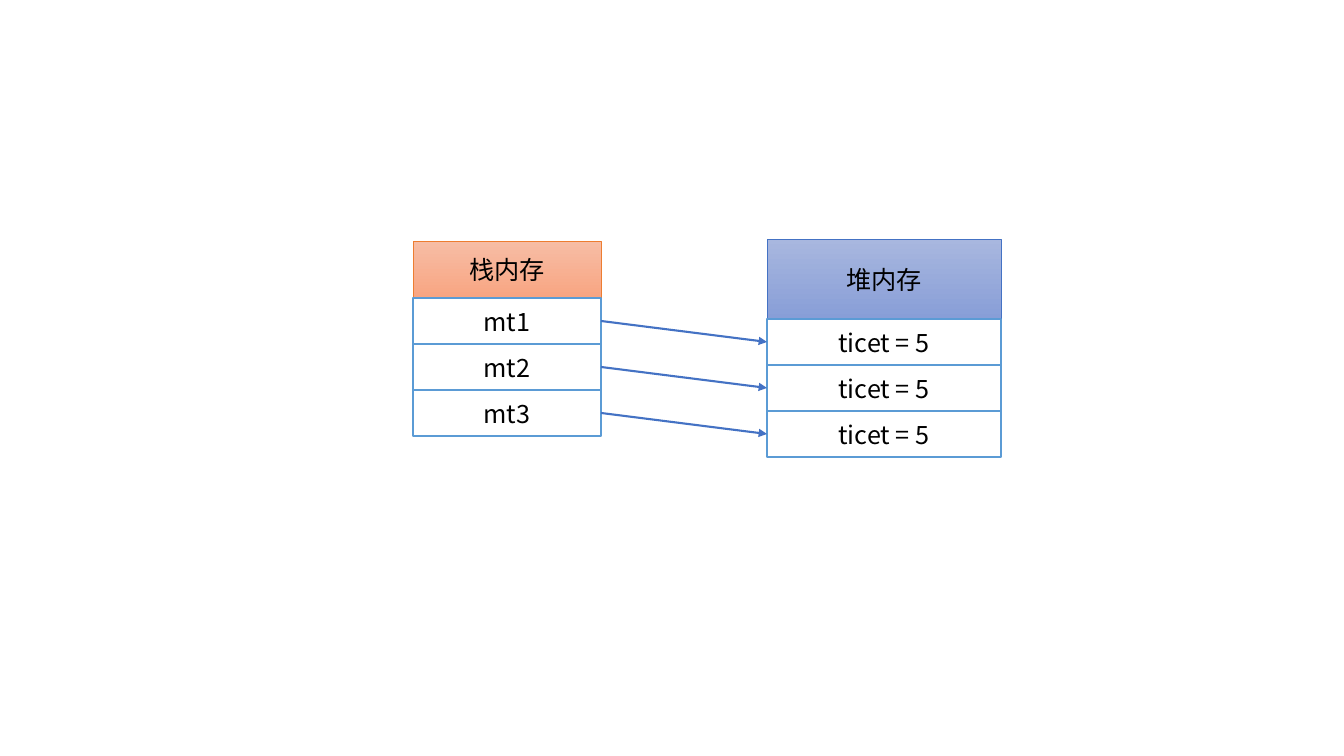
import pptx
import pptx.dml.color
import pptx.enum.shapes
import pptx.enum.text
import pptx.oxml.ns
import pptx.util
from lxml import etree

RGBColor = pptx.dml.color.RGBColor
BLACK = RGBColor(0x00, 0x00, 0x00)
WHITE = RGBColor(0xFF, 0xFF, 0xFF)
CELL_BLUE = RGBColor(0x5B, 0x9B, 0xD5)
HEAP_BLUE = RGBColor(0x44, 0x72, 0xC4)
HEAP_GRADIENT = (RGBColor(0xA8, 0xB7, 0xDF), RGBColor(0x88, 0x9E, 0xD7))
STACK_ORANGE = RGBColor(0xED, 0x7D, 0x31)
STACK_GRADIENT = (RGBColor(0xF7, 0xBD, 0xA5), RGBColor(0xF8, 0xA5, 0x82))

ROW_HEIGHT = 46


def pixels(length):
    return pptx.util.Emu(round(length * 914400 / 100.8))


class MemoryDiagram:
    font_name = "Noto Sans CJK SC"
    font_size = 18

    def __init__(self, slide):
        self.slide = slide

    def box(self, text, left, top, width, height, line_color, line_width, gradient=None):
        shape = self.slide.shapes.add_shape(
            pptx.enum.shapes.MSO_SHAPE.RECTANGLE, *map(pixels, (left, top, width, height)))
        shape.shadow.inherit = False
        if gradient:
            shape.fill.gradient()
            shape.fill.gradient_angle = 270
            for stop, color in zip(shape.fill.gradient_stops, gradient):
                stop.color.rgb = color
        else:
            shape.fill.solid()
            shape.fill.fore_color.rgb = WHITE
        shape.line.color.rgb = line_color
        shape.line.width = pptx.util.Pt(line_width)
        self.label(shape, text)
        return shape

    def label(self, shape, text):
        frame = shape.text_frame
        frame.text = text
        frame.vertical_anchor = pptx.enum.text.MSO_ANCHOR.MIDDLE
        paragraph = frame.paragraphs[0]
        paragraph.alignment = pptx.enum.text.PP_ALIGN.CENTER
        paragraph.font.size = pptx.util.Pt(self.font_size)
        paragraph.font.color.rgb = BLACK
        paragraph.font.name = self.font_name
        # East Asian typeface for the Chinese labels
        properties = paragraph._p.find(".//" + pptx.oxml.ns.qn("a:defRPr"))
        etree.SubElement(properties, pptx.oxml.ns.qn("a:ea"), typeface=self.font_name)

    def column(self, title, rows, left, top, width, header_height, line_color, gradient):
        self.box(title, left, top, width, header_height, line_color, 0.5, gradient)
        first_row = top + header_height
        return [self.box(text, left, first_row + index * ROW_HEIGHT, width, ROW_HEIGHT, CELL_BLUE, 1)
                for index, text in enumerate(rows)]

    def arrow(self, start, end):
        connector = self.slide.shapes.add_connector(
            pptx.enum.shapes.MSO_CONNECTOR.STRAIGHT, 0, 0, 0, 0)
        connector.begin_connect(start, 3)
        connector.end_connect(end, 1)
        connector.line.color.rgb = HEAP_BLUE
        connector.line.width = pptx.util.Pt(1.5)
        etree.SubElement(connector.line._get_or_add_ln(),
                         pptx.oxml.ns.qn("a:tailEnd"), type="triangle")
        etree.SubElement(connector._element.spPr, pptx.oxml.ns.qn("a:effectLst"))


presentation = pptx.Presentation()
presentation.slide_width = pixels(1344)
presentation.slide_height = pixels(756)
diagram = MemoryDiagram(presentation.slides.add_slide(presentation.slide_layouts[6]))

# Stack and heap columns
references = diagram.column("栈内存", ["mt1", "mt2", "mt3"], 413, 241, 188, 57,
                            STACK_ORANGE, STACK_GRADIENT)
objects = diagram.column("堆内存", ["ticet = 5"] * 3, 767, 239, 234, 80,
                         HEAP_BLUE, HEAP_GRADIENT)

# Each reference points to its object
for reference, target in zip(references, objects):
    diagram.arrow(reference, target)

presentation.save("out.pptx")
